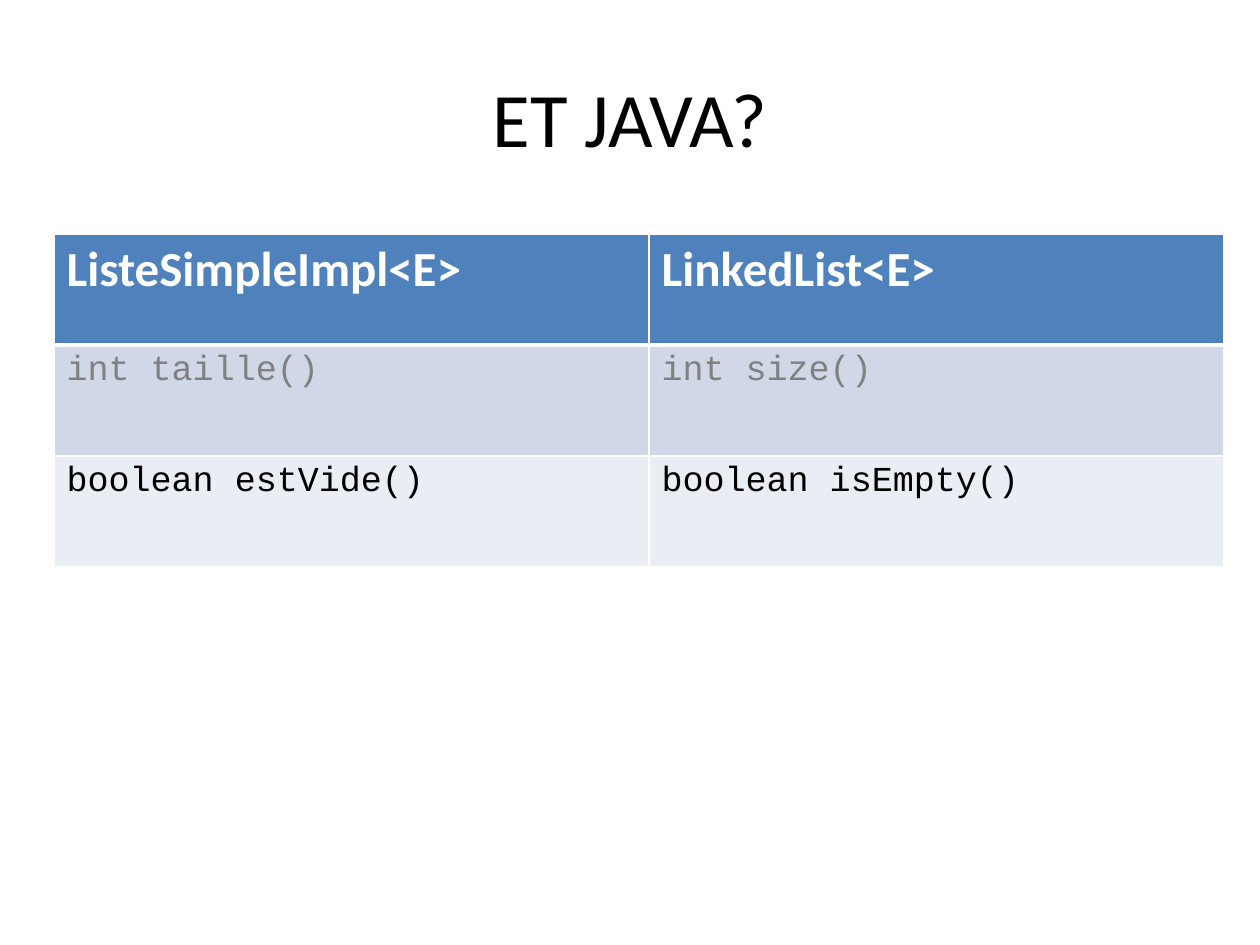
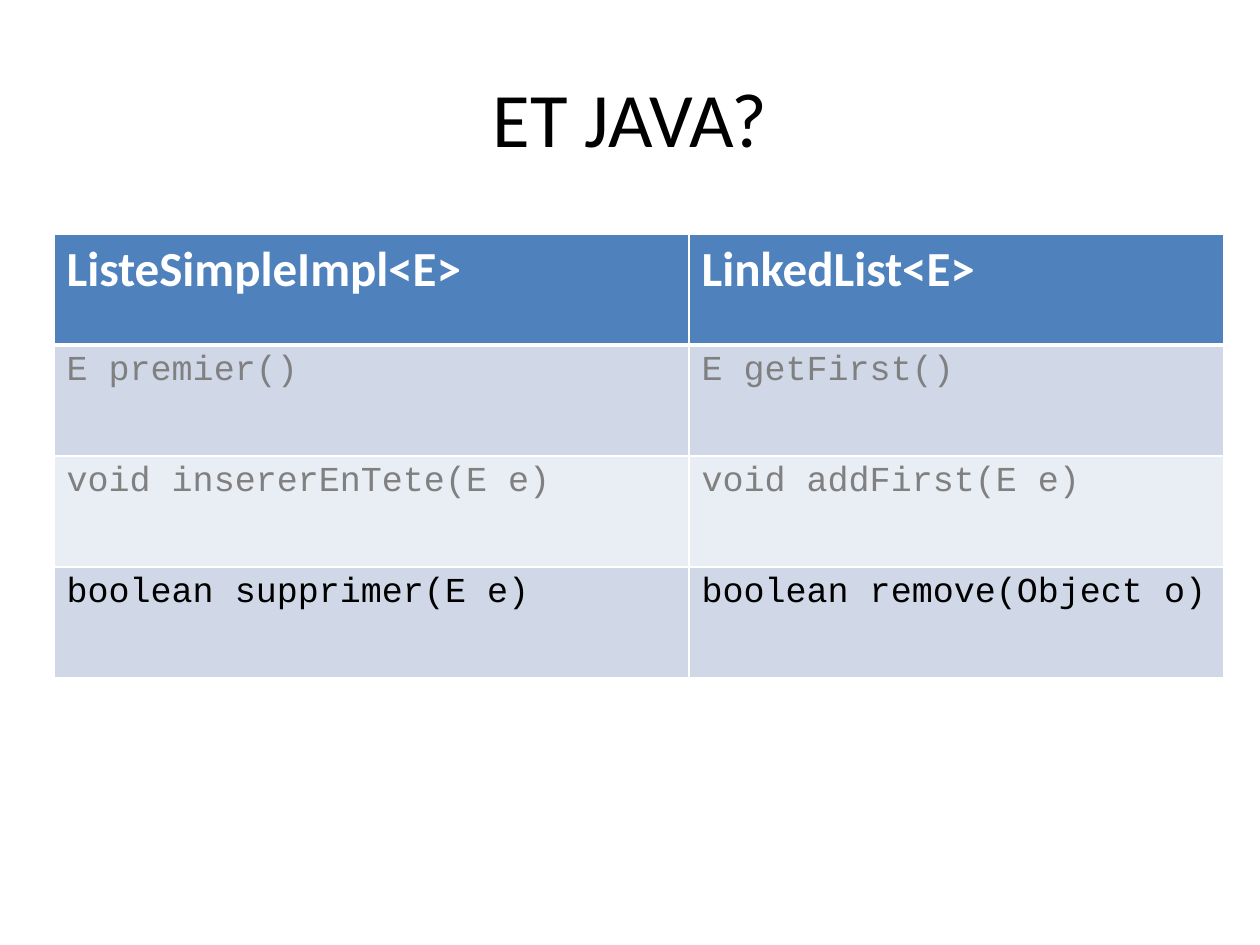
from dataclasses import dataclass

import pptx
import pptx.dml.color
import pptx.enum.text
import pptx.oxml
import pptx.oxml.ns
import pptx.util

PX = 914400 / 126
SLIDE_W, SLIDE_H = 1260, 945
TITLE_BOX = (63, 38, 1134, 157)
TABLE_LEFT, TABLE_TOP, ROW_H = 54, 234, 111


@dataclass(frozen=True)
class Theme:
    black: str = "000000"
    white: str = "FFFFFF"
    dimmed: str = "808080"
    header: str = "4F81BD"
    bands: tuple = ("D0D8E8", "E9EDF4")
    text_font: str = "Calibri"
    code_font: str = "Courier New"
    title_size: int = 44
    header_size: int = 28
    code_size: int = 20
    rule: int = 1
    header_rule: int = 3


THEME = Theme()
HEADINGS = ("ListeSimpleImpl<E>", "LinkedList<E>")
COMPARISONS = [
    ((595, 575), [
        ("int taille()", "int size()"),
        ("boolean estVide()", "boolean isEmpty()"),
    ]),
    ((635, 535), [
        ("E premier()", "E getFirst()"),
        ("void insererEnTete(E e)", "void addFirst(E e)"),
        ("boolean supprimer(E e)", "boolean remove(Object o)"),
    ]),
]


def emu(px):
    return pptx.util.Emu(round(px * PX))


def rgb(color):
    return pptx.dml.color.RGBColor.from_string(color)


def write(tf, text, font, size, color, bold=False):
    p = tf.paragraphs[0]
    p.text = text
    r = p.runs[0]
    r.font.name = font
    r.font.size = pptx.util.Pt(size)
    r.font.color.rgb = rgb(color)
    r.font.bold = bold
    return p


def set_borders(cell, top, bottom):
    """Draw white cell borders, with top and bottom widths in points."""
    widths = {"L": THEME.rule, "R": THEME.rule, "T": top, "B": bottom}
    tc_pr = cell._tc.get_or_add_tcPr()
    for i, (side, width) in enumerate(widths.items()):
        tc_pr.insert(i, pptx.oxml.parse_xml(
            f'<a:ln{side} {pptx.oxml.ns.nsdecls("a")} w="{pptx.util.Pt(width)}">'
            f'<a:solidFill><a:srgbClr val="{THEME.white}"/></a:solidFill>'
            f'</a:ln{side}>'))


def add_title(s, text, box):
    tf = s.shapes.add_textbox(*map(emu, box)).text_frame
    tf.word_wrap = True
    tf.vertical_anchor = pptx.enum.text.MSO_ANCHOR.MIDDLE
    p = write(tf, text, THEME.text_font, THEME.title_size, THEME.black)
    p.alignment = pptx.enum.text.PP_ALIGN.CENTER


def add_comparison(s, left, top, col_widths, methods):
    """Add the method table; only its last row, the newest, is in black."""
    rows = [HEADINGS, *methods]
    table = s.shapes.add_table(
        len(rows), len(col_widths), emu(left), emu(top),
        emu(sum(col_widths)), emu(ROW_H * len(rows))).table
    for col, width in zip(table.columns, col_widths):
        col.width = emu(width)
    for i, texts in enumerate(rows):
        table.rows[i].height = emu(ROW_H)
        if i == 0:
            fill = THEME.header
            style = (THEME.text_font, THEME.header_size, THEME.white, True)
        else:
            fill = THEME.bands[(i - 1) % 2]
            color = THEME.black if i == len(methods) else THEME.dimmed
            style = (THEME.code_font, THEME.code_size, color)
        for j, text in enumerate(texts):
            cell = table.cell(i, j)
            cell.fill.solid()
            cell.fill.fore_color.rgb = rgb(fill)
            write(cell.text_frame, text, *style)
            set_borders(cell,
                        top=THEME.header_rule if i == 1 else THEME.rule,
                        bottom=THEME.header_rule if i == 0 else THEME.rule)


def main():
    prs = pptx.Presentation()
    prs.slide_width, prs.slide_height = emu(SLIDE_W), emu(SLIDE_H)
    for col_widths, methods in COMPARISONS:
        s = prs.slides.add_slide(prs.slide_layouts[6])
        add_title(s, "ET JAVA?", TITLE_BOX)
        add_comparison(s, TABLE_LEFT, TABLE_TOP, col_widths, methods)
    prs.save("out.pptx")


if __name__ == "__main__":
    main()
